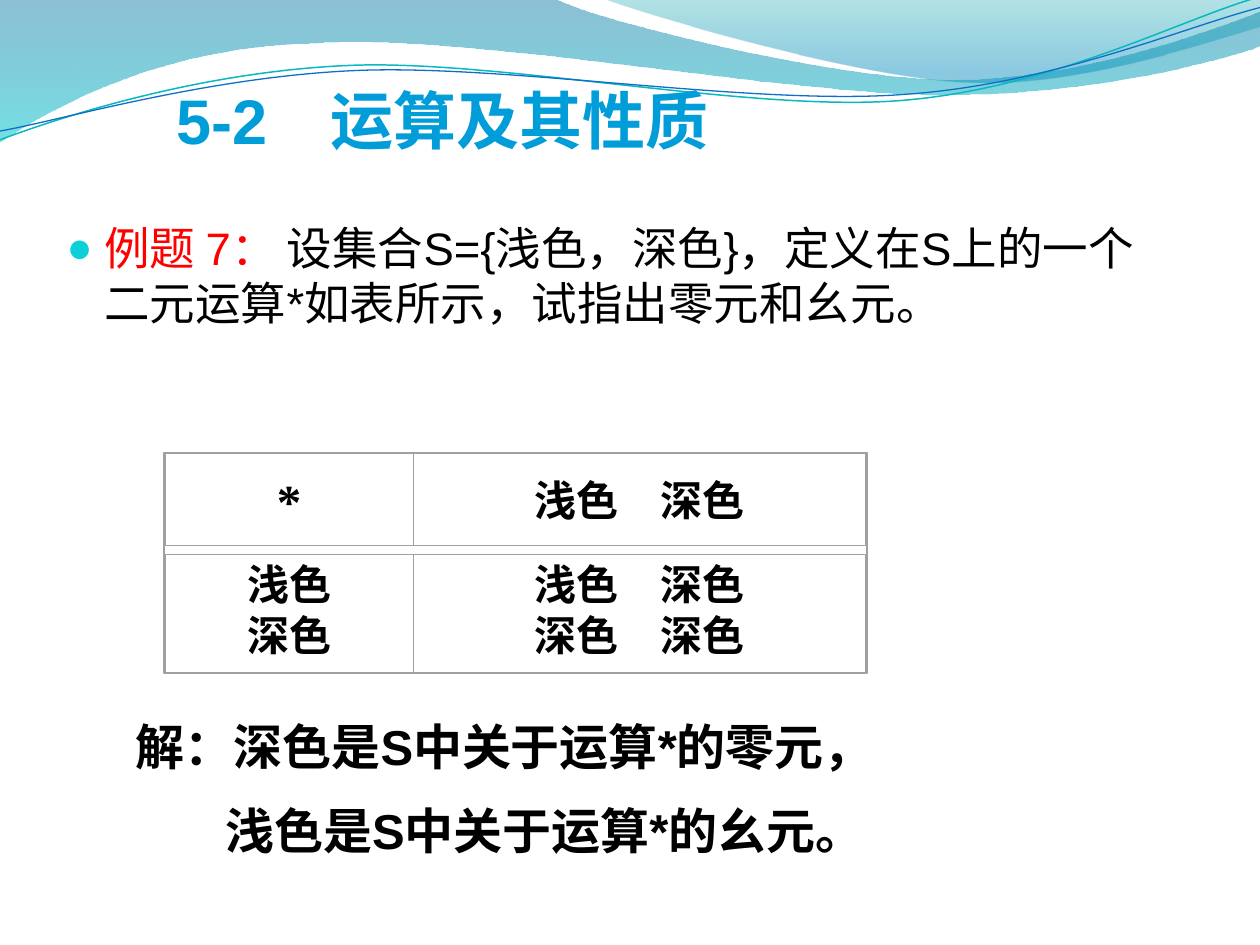
"""Build the slide on operations and their properties, with a 2 x 2 operation table."""
from lxml.etree import SubElement
from pptx import Presentation
from pptx.dml.color import RGBColor as RGB
from pptx.enum.shapes import MSO_SHAPE as Shape
from pptx.enum.text import MSO_ANCHOR as Anchor, PP_ALIGN as Align
from pptx.oxml.ns import qn
from pptx.util import Pt

PX = 9144
HUES = {"black": "000000", "red": "FF0000", "title": "009DD9", "dot": "0BD0D9",
        "grey": "A0A0A0", "teal": "0AB8BF", "blue": "0F6FC6",
        "deep": "0074A1", "cyan": "00C6CF", "sea": "00A1A9", "sky": "008BBF"}


def add_run(para, text, size, hue="black", face="Arial", bold=True):
    run = para.add_run()
    run.text = text
    font = run.font
    font.size, font.name, font.bold = Pt(size), face, bold
    font.color.rgb = RGB.from_string(HUES[hue])


def add_box(x, y, w, h):
    frame = slide.shapes.add_textbox(x * PX, y * PX, w * PX, h * PX).text_frame
    frame.word_wrap = True
    return frame


deck = Presentation()
deck.slide_width, deck.slide_height = 1000 * PX, 750 * PX
slide = deck.slides.add_slide(deck.slide_layouts[6])

waves = [
    ([(0, -1), (440, -1), (476, 17, 664, 63, 758, 63), (853, 63, 958, 26, 1000, 9),
      (1001, 36), (983, 44, 870, 76, 746, 75), (622, 75, 382, 28, 257, 34),
      (129, 36, 46, 83, -1, 113)], [("deep", 0, 45), ("cyan", 1, 55)], None),
    ([(479, -1), (509, 11, 682, 62, 769, 65), (856, 69, 961, 32, 1000, 21),
      (1000, 0)], [("sea", 0, 30), ("sky", 0.8, 45)], None),
    ([(0, 111), (48, 93, 158, 57, 277, 52), (395, 47, 593, 89, 713, 80),
      (833, 71, 938, 15, 998, -2)], None, ("teal", 0.85)),
    ([(0, 104), (47, 96, 164, 61, 283, 56), (403, 51, 597, 84, 717, 75),
      (836, 67, 941, 21, 1000, 6)], None, ("blue", 0.75)),
]
for route, stops, line in waves:
    dots = [(seg[i], seg[i + 1]) for seg in route for i in range(0, len(seg), 2)]
    pen = slide.shapes.build_freeform(*dots[0], scale=PX)
    pen.add_line_segments(dots[1:], close=bool(stops))
    wave = pen.convert_to_shape()
    wave.shadow.inherit = False
    nodes = iter(list(wave._element.iter(qn("a:lnTo"))))
    for seg in route[1:]:
        node = next(nodes)
        if len(seg) == 6:
            curve = node.makeelement(qn("a:cubicBezTo"))
            node.addprevious(curve)
            for part in (node, next(nodes), next(nodes)):
                curve.append(part[0])
                part.getparent().remove(part)
    if stops:
        wave.fill.gradient()
        wave.fill.gradient_angle = 270
        for stop, (hue, place, _) in zip(wave.fill.gradient_stops, stops):
            stop.color.rgb = RGB.from_string(HUES[hue])
            stop.position = place
        for node, (_, _, alpha) in zip(wave._element.iter(qn("a:srgbClr")), stops):
            SubElement(node, qn("a:alpha"), val=str(alpha * 1000))
        wave.line.fill.background()
    else:
        wave.fill.background()
        wave.line.color.rgb = RGB.from_string(HUES[line[0]])
        wave.line.width = Pt(line[1])

para = add_box(43, 170, 867, 125).paragraphs[0]
props = para._p.get_or_add_pPr()
props.set("marL", str(30 * PX))
props.set("indent", str(-30 * PX))
SubElement(SubElement(props, qn("a:buClr")), qn("a:srgbClr"), val=HUES["dot"])
SubElement(props, qn("a:buSzPct"), val="95000")
SubElement(props, qn("a:buFont"), typeface="Arial")
SubElement(props, qn("a:buChar"), char="●")
para.space_after = Pt(5)
add_run(para, "例题 7：", 26, "red", bold=False)
add_run(para, " 设集合S={浅色，深色}，定义在S上的一个二元运算*如表所示，试指出零元和幺元。",
        26, bold=False)

proof = add_box(98, 564, 708, 127)
add_run(proof.paragraphs[0], "解：深色是S中关于运算*的零元，", 28)
para = proof.add_paragraph()
para._p.get_or_add_pPr().set("marL", str(71 * PX))
para.space_before = Pt(14)
add_run(para, "浅色是S中关于运算*的幺元。", 28)

cols = [(131, 197), (328, 359)]
rows = [(360, 73, 0, [["*"], ["浅色　深色"]]),
        (440, 94, 7, [["浅色", "深色"], ["浅色　深色", "深色　深色"]])]
cells = [(x, y, w, h, foot, 0, text) for y, h, foot, texts in rows
         for (x, w), text in zip(cols, texts)]
for x, y, w, h, foot, width, text in cells + [(130, 359, 558, 175, 0, 0.87, [])]:
    if text:
        frame = add_box(x + 7, y + 3, w - 14, h - 6)
        frame.vertical_anchor = Anchor.MIDDLE
        frame.margin_top, frame.margin_bottom = 0, foot * PX
    for i, word in enumerate(text):
        para = frame.add_paragraph() if i else frame.paragraphs[0]
        para.alignment = Align.CENTER
        add_run(para, word, 28 if word == "*" else 24, face="Times New Roman")
    cell = slide.shapes.add_shape(Shape.RECTANGLE, x * PX, y * PX, w * PX, h * PX)
    cell.shadow.inherit = False
    cell.fill.background()
    cell.line.color.rgb = RGB.from_string(HUES["grey"])
    cell.line.width = Pt(width)

title = add_box(130, 60, 850, 70)
title.vertical_anchor = Anchor.MIDDLE
add_run(title.paragraphs[0], "5-2　运算及其性质", 36, "title")

deck.save("out.pptx")
